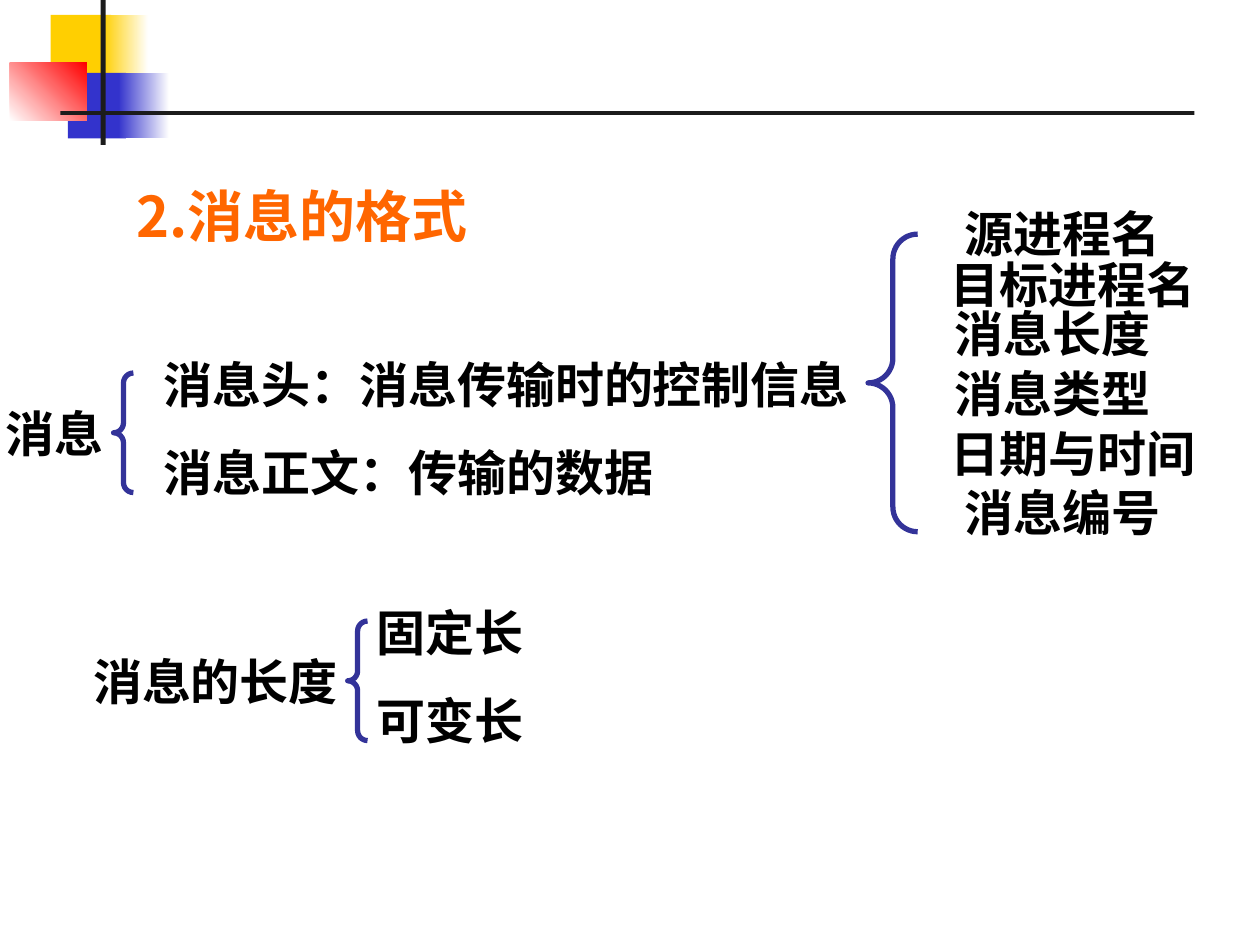
from pptx import Presentation
from pptx.dml.color import RGBColor
from pptx.enum.shapes import MSO_SHAPE
from pptx.enum.text import MSO_ANCHOR, PP_ALIGN
from pptx.oxml.ns import qn
from pptx.util import Cm, Pt
from lxml import etree

RECTANGLE, LEFT_BRACE = MSO_SHAPE.RECTANGLE, MSO_SHAPE.LEFT_BRACE
LEFT, RIGHT = PP_ALIGN.LEFT, PP_ALIGN.RIGHT
TOP = MSO_ANCHOR.TOP

WHITE = RGBColor(0xFF, 0xFF, 0xFF)
BLACK = RGBColor(0x00, 0x00, 0x00)
YELLOW = RGBColor(0xFF, 0xCF, 0x01)
BLUE = RGBColor(0x33, 0x33, 0xCC)
RED = RGBColor(0xFF, 0x00, 0x00)
CHARCOAL = RGBColor(0x1C, 0x1C, 0x1C)
INDIGO = RGBColor(0x33, 0x33, 0x99)
ORANGE = RGBColor(0xFF, 0x66, 0x00)

CJK_FONT = "Noto Sans CJK SC"
LABEL_FONT = "Roboto"
LABEL_HEIGHT = 1.2
BRANCH_BRACE = (0.4, 2.41)  # width, height


class SlideBuilder:
    """Draws on one slide; all positions and sizes are in centimetres."""

    def __init__(self, slide):
        self.slide = slide

    def fill_text(self, frame, text, font, size, color, align):
        frame.word_wrap = True
        frame.vertical_anchor = TOP
        paragraph = frame.paragraphs[0]
        paragraph.alignment = align
        paragraph.space_before = Pt(0)
        run = paragraph.add_run()
        run.text = text
        run.font.name = font
        run.font.size = Pt(size)
        run.font.bold = True
        run.font.color.rgb = color
        east_asian = etree.SubElement(run.font._element, qn("a:ea"))
        east_asian.set("typeface", CJK_FONT)

    def title(self, text, *box):
        title = self.slide.shapes.title
        title.left, title.top, title.width, title.height = map(Cm, box)
        self.fill_text(title.text_frame, text, CJK_FONT, 32, ORANGE, LEFT)

    def label(self, text, left, top, width, align=LEFT):
        box = self.slide.shapes.add_textbox(
            Cm(left), Cm(top), Cm(width), Cm(LABEL_HEIGHT))
        frame = box.text_frame
        frame.margin_left = frame.margin_right = 0
        frame.margin_top = frame.margin_bottom = 0
        self.fill_text(frame, text, LABEL_FONT, 28, BLACK, align)

    def block(self, box, start, end=None, angle=0):
        """Add a borderless rectangle, fading from start to end if end is given."""
        block = self.slide.shapes.add_shape(RECTANGLE, *map(Cm, box))
        block.shadow.inherit = False
        block.line.fill.background()
        if end is None:
            block.fill.solid()
            block.fill.fore_color.rgb = start
            return
        block.fill.gradient()
        block.fill.gradient_angle = angle
        for stop, color, position in zip(
                block.fill.gradient_stops, (start, end), (0, 1)):
            stop.color.rgb = color
            stop.position = position

    def brace(self, *box):
        brace = self.slide.shapes.add_shape(LEFT_BRACE, *map(Cm, box))
        brace.shadow.inherit = False
        brace.fill.background()
        brace.line.color.rgb = INDIGO
        brace.line.width = Pt(3)
        brace.adjustments[0] = 0.5

    def branch(self, topic, topic_left, brace_left, brace_top, items, items_left):
        """Add a topic, a brace to its right and two items beside the brace tips."""
        topic_width = brace_left - 0.2 - topic_left
        self.label(topic, topic_left, brace_top + 0.61, topic_width, RIGHT)
        self.brace(brace_left, brace_top, *BRANCH_BRACE)
        for row, item in enumerate(items):
            self.label(item, items_left, brace_top - 0.38 + 1.79 * row, 15.4)


def main():
    deck = Presentation()
    deck.slide_width, deck.slide_height = Cm(25.4), Cm(19.05)
    builder = SlideBuilder(deck.slides.add_slide(deck.slide_layouts[5]))

    builder.block((1.02, 0.3, 1.22, 1.32), YELLOW)
    builder.block((2.08, 0.3, 0.91, 1.32), YELLOW, WHITE)
    builder.block((1.37, 1.47, 1.17, 1.32), BLUE)
    builder.block((2.39, 1.47, 1.02, 1.32), BLUE, WHITE)
    builder.block((0.2, 1.27, 1.55, 1.17), WHITE, RED, 45)
    builder.block((2.03, 0, 0.1, 2.92), CHARCOAL)
    builder.block((1.22, 2.24, 22.86, 0.08), CHARCOAL)

    builder.title("2.消息的格式", 2.49, 3.53, 13.06, 2.18)

    builder.branch("消息", 0, 2.29, 7.52,
                   ("消息头：消息传输时的控制信息", "消息正文：传输的数据"), 3.3)
    builder.branch("消息的长度", 1.5, 7.01, 12.52, ("固定长", "可变长"), 7.59)

    header_fields = (
        ("源进程名", 23.39, 4.11),
        ("目标进程名", 24.1, 5.13),
        ("消息长度", 23.19, 6.12),
        ("消息类型", 23.19, 7.32),
        ("日期与时间", 24.1, 8.53),
        ("消息编号", 23.39, 9.73),
    )
    field_width = 5.4
    for field, right, top in header_fields:
        builder.label(field, right - field_width, top, field_width, RIGHT)
    builder.brace(17.5, 4.72, 1, 6)

    deck.save("out.pptx")


if __name__ == "__main__":
    main()
